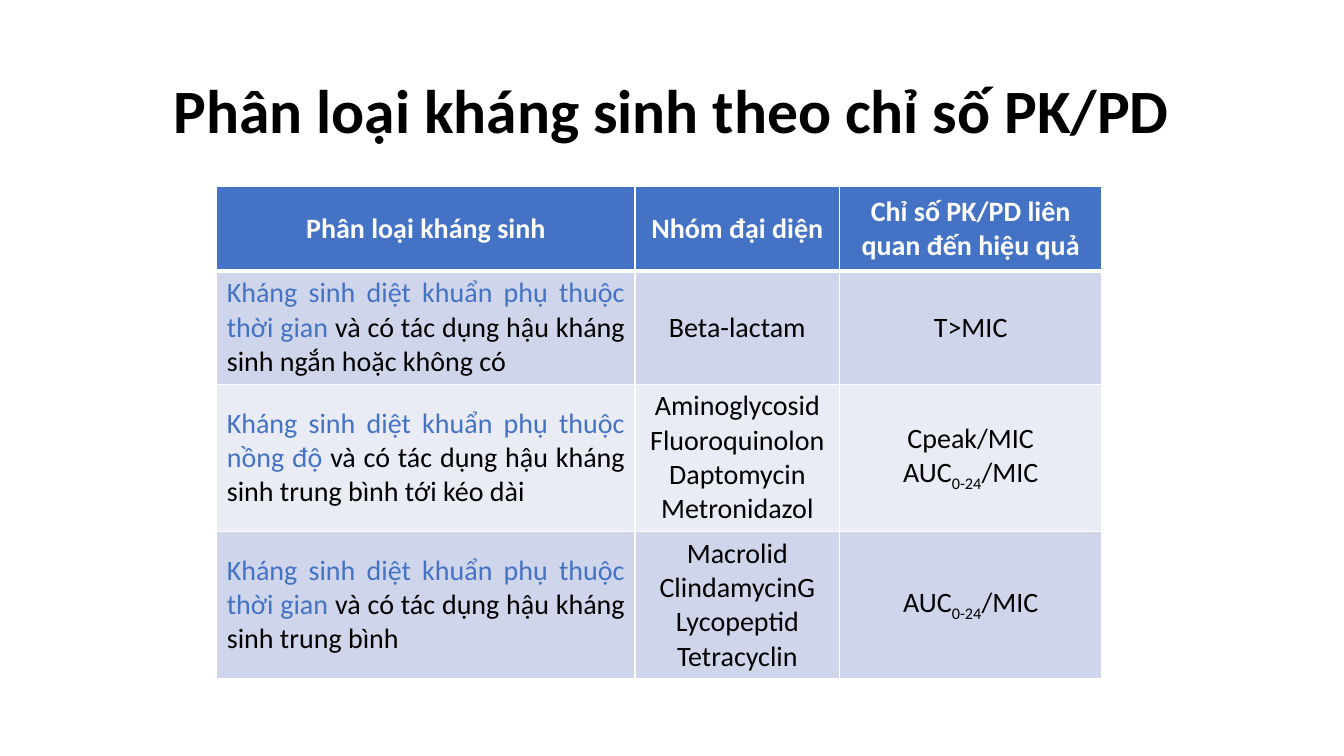
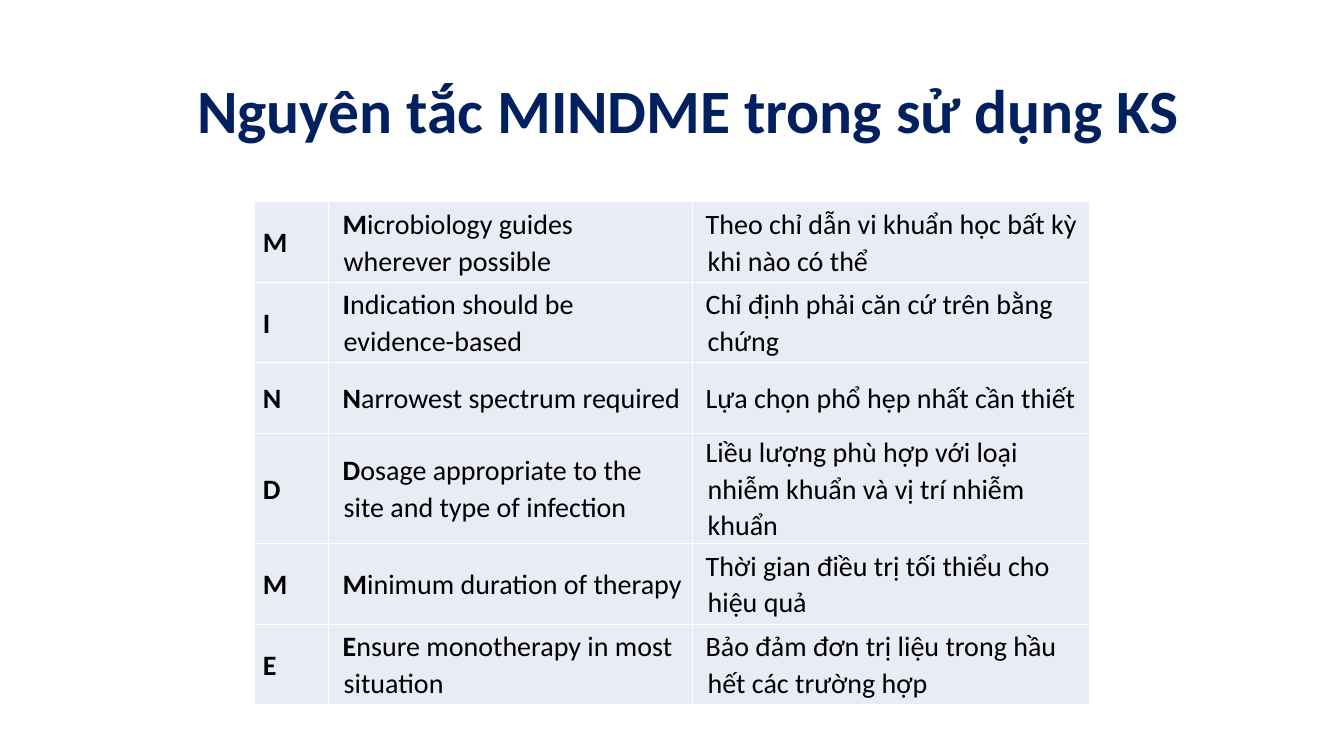
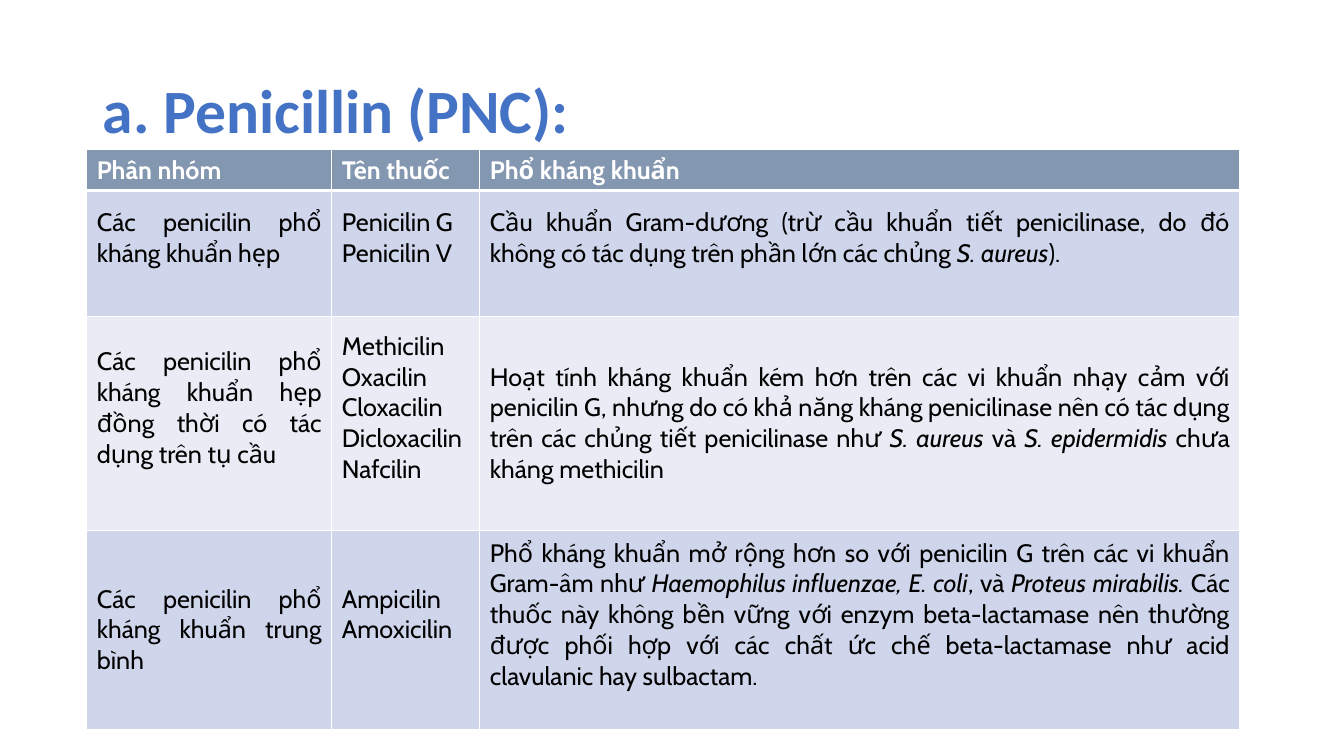
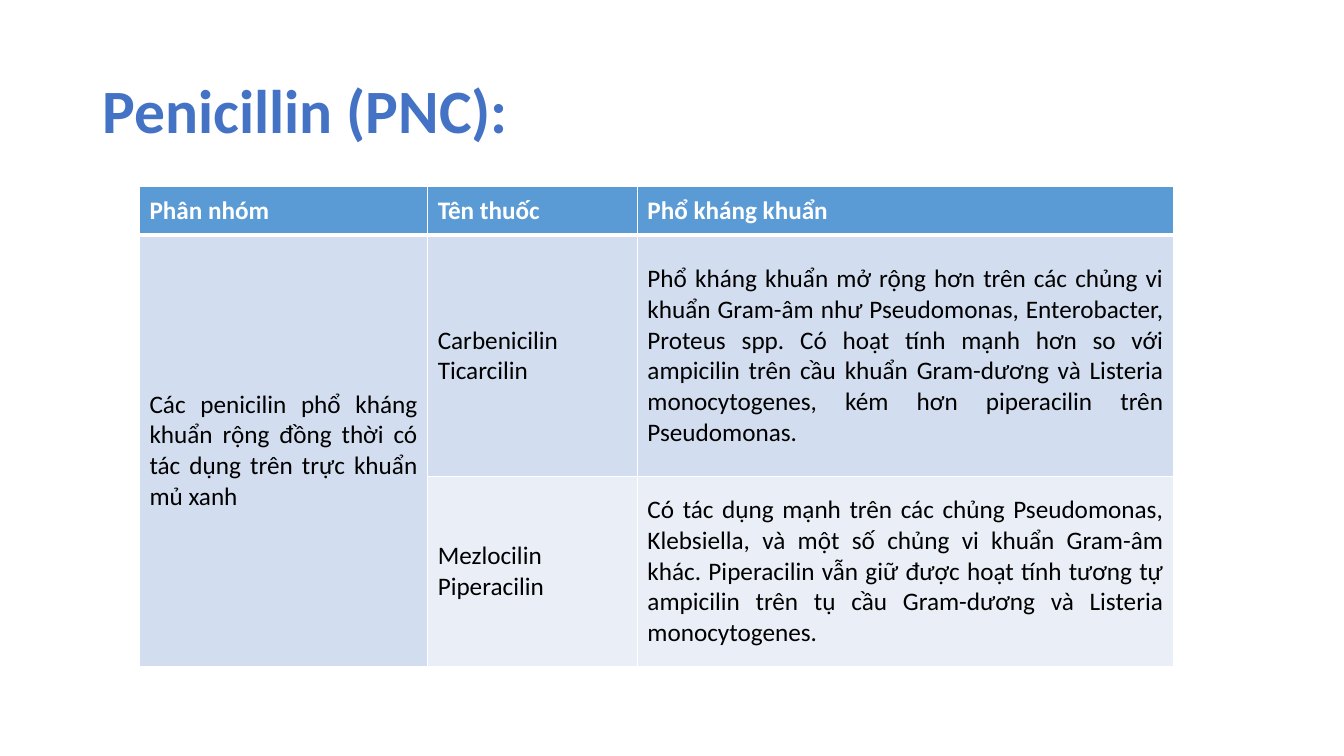
from lxml.etree import SubElement
from pptx import Presentation
from pptx.dml.color import RGBColor
from pptx.enum.text import MSO_ANCHOR, PP_ALIGN as AL
from pptx.oxml.ns import qn
from pptx.util import Pt

BLACK, WHITE, NAVY, BLUE = "000000", "FFFFFF", "002060", "4472C4"
STEEL, SKY = "8497B0", "5B9BD5"
BANDS = ("CFD5EA", "E9EBF5")
SKY_BANDS = ("D2DEEF", "EAEFF7")


def rgb(value):
    return RGBColor.from_string(value)


class Deck:
    def __init__(self):
        self.prs = Presentation()
        self.prs.slide_width, self.prs.slide_height = Pt(960), Pt(540)
        self.s = None

    def slide(self, title, color=BLUE, align=AL.LEFT, width=828):
        self.s = self.prs.slides.add_slide(self.prs.slide_layouts[5])
        sp = self.s.shapes.title
        sp.left, sp.top, sp.width, sp.height = Pt(66.2), Pt(28.8), Pt(width), Pt(104.4)
        tf = sp.text_frame
        tf.word_wrap = True
        tf.vertical_anchor = MSO_ANCHOR.MIDDLE
        p = tf.paragraphs[0]
        p.text = title
        p.alignment = align
        p.line_spacing = 0.9
        self.font(p, 44, "Calibri", color, True)

    def font(self, p, size, name, color, bold):
        f = p.font
        f.size, f.name, f.bold = Pt(size), name, bold
        f.color.rgb = rgb(color)

    def run(self, p, text, style=None):
        r = p.add_run()
        r.text = text
        if style == "bold":
            r.font.bold = True
        elif style == "italic":
            r.font.italic = True
        elif style == "blue":
            r.font.color.rgb = rgb(BLUE)
        elif style == "sub":
            r.font._element.set("baseline", "-25000")

    def borders(self, cell, top=1, bottom=1):
        tc_pr = cell._tc.get_or_add_tcPr()
        for tag, width in (("lnL", 1), ("lnR", 1), ("lnT", top), ("lnB", bottom)):
            ln = SubElement(tc_pr, qn(f"a:{tag}"), w=str(Pt(width)))
            fill = SubElement(ln, qn("a:solidFill"))
            SubElement(fill, qn("a:srgbClr"), val=WHITE)

    def cell_text(self, cell, content, align, size, name, color, bold):
        cell.vertical_anchor = MSO_ANCHOR.MIDDLE
        tf = cell.text_frame
        paras = content if isinstance(content, list) else [content]
        for i, runs in enumerate(paras):
            p = tf.add_paragraph() if i else tf.paragraphs[0]
            p.alignment = align
            self.font(p, size, name, color, bold)
            for part in runs if isinstance(runs, tuple) else (runs,):
                self.run(p, *(part if isinstance(part, list) else [part]))

    def table(self, left, top, cols, heights, rows, aligns, size, name="Calibri",
              header=None, header_align=AL.LEFT, bands=BANDS):
        tbl = self.s.shapes.add_table(len(heights), len(cols), Pt(left), Pt(top),
                                      Pt(sum(cols)), Pt(sum(heights))).table
        tbl.first_row = header is not None
        for col, width in zip(tbl.columns, cols):
            col.width = Pt(width)
        for row, height in zip(tbl.rows, heights):
            row.height = Pt(height)
        for i, row in enumerate(rows):
            head = header is not None and i == 0
            band = bands[(i - 1) % len(bands)]
            for j, content in enumerate(row):
                cell = tbl.cell(i, j)
                self.borders(cell, 3 if header and i == 1 else 1, 3 if head else 1)
                cell.fill.solid()
                cell.fill.fore_color.rgb = rgb(header if head else band)
                if content is not None:
                    self.cell_text(cell, content, header_align if head else aligns[j], size,
                                   name, WHITE if head else BLACK, head)
        return tbl

    def indent(self, tbl, indents):
        for row in tbl.rows:
            for cell, (margin, first) in zip(row.cells, indents):
                cell.margin_left = cell.margin_right = Pt(5)
                cell.margin_top = cell.margin_bottom = 0
                for p in cell.text_frame.paragraphs:
                    p.line_spacing = 1.07
                    p_pr = p._p.get_or_add_pPr()
                    p_pr.set("marL", str(Pt(margin)))
                    p_pr.set("indent", str(Pt(first)))

    def raise_text(self, tbl, places):
        for i, j in places:
            tbl.cell(i, j).margin_bottom = Pt(25.6)


def classification(d):
    d.slide("Phân loại kháng sinh theo chỉ số PK/PD", BLACK, AL.CENTER)
    auc = ("AUC", ["0-24", "sub"], "/MIC")
    time = ["Kháng sinh diệt khuẩn phụ thuộc thời gian ", "blue"]
    dose = ["Kháng sinh diệt khuẩn phụ thuộc nồng độ ", "blue"]
    rows = [
        ["Phân loại kháng sinh", "Nhóm đại diện", "Chỉ số PK/PD liên quan đến hiệu quả"],
        [(time, "và có tác dụng hậu kháng sinh ngắn hoặc không có"), "Beta-lactam", "T>MIC"],
        [(dose, "và có tác dụng hậu kháng sinh trung bình tới kéo dài"),
         ["Aminoglycosid Fluoroquinolon", "Daptomycin Metronidazol"], ["Cpeak/MIC", auc]],
        [(time, "và có tác dụng hậu kháng sinh trung bình"),
         ["Macrolid", "ClindamycinG", "Lycopeptid", "Tetracyclin"], auc],
    ]
    d.table(154.8, 133.2, [298.8, 146.2, 187.2], [60.5, 79.9, 104.4, 104.4], rows,
            [AL.JUSTIFY, AL.CENTER, AL.CENTER], 20, header=BLUE, header_align=AL.CENTER)


def mindme(d):
    d.slide("Nguyên tắc MINDME trong sử dụng KS", NAVY, AL.CENTER, 851.8)
    principles = [
        ("Microbiology guides wherever possible",
         "Theo chỉ dẫn vi khuẩn học bất kỳ khi nào có thể"),
        ("Indication should be evidence-based", "Chỉ định phải căn cứ trên bằng chứng"),
        ("Narrowest spectrum required", "Lựa chọn phổ hẹp nhất cần thiết"),
        ("Dosage appropriate to the site and type of infection",
         "Liều lượng phù hợp với loại nhiễm khuẩn và vị trí nhiễm khuẩn"),
        ("Minimum duration of therapy", "Thời gian điều trị tối thiểu cho hiệu quả"),
        ("Ensure monotherapy in most situation",
         "Bảo đảm đơn trị liệu trong hầu hết các trường hợp"),
    ]
    rows = [[([en[0], "bold"],), ([en[0], "bold"], en[1:]), vi] for en, vi in principles]
    tbl = d.table(181.4, 144, [53.3, 260, 283.7], [57.6, 57.6, 50.4, 76.3, 57.6, 57.6], rows,
                  [AL.LEFT] * 3, 20, bands=BANDS[1:])
    d.indent(tbl, [(0.7, 0.7), (5.8, -0.7), (5.8, -1.4)])


HEADINGS = ["Phân nhóm", "Tên thuốc", "Phổ kháng khuẩn"]


def penicillin(d):
    d.slide("a. Penicillin (PNC):")
    rows = [
        HEADINGS,
        ["Các penicilin phổ kháng khuẩn hẹp", ["Penicilin G", "Penicilin V"],
         ("Cầu khuẩn Gram-dương (trừ cầu khuẩn tiết penicilinase, do đó không có tác dụng "
          "trên phần lớn các chủng ", ["S. aureus", "italic"], ").")],
        ["Các penicilin phổ kháng khuẩn hẹp đồng thời có tác dụng trên tụ cầu",
         ["Methicilin", "Oxacilin", "Cloxacilin", "Dicloxacilin", "Nafcilin"],
         ("Hoạt tính kháng khuẩn kém hơn trên các vi khuẩn nhạy cảm với penicilin G, nhưng "
          "do có khả năng kháng penicilinase nên có tác dụng trên các chủng tiết "
          "penicilinase như ", ["S. aureus ", "italic"], "và ",
          ["S. epidermidis ", "italic"], "chưa kháng methicilin")],
        ["Các penicilin phổ kháng khuẩn trung bình", ["Ampicilin", "Amoxicilin"],
         ("Phổ kháng khuẩn mở rộng hơn so với penicilin G trên các vi khuẩn Gram-âm như ",
          ["Haemophilus influenzae, E. coli", "italic"], ", và ",
          ["Proteus mirabilis. ", "italic"],
          "Các thuốc này không bền vững với enzym beta-lactamase nên thường được phối hợp "
          "với các chất ức chế beta-lactamase như acid clavulanic hay sulbactam.")],
    ]
    tbl = d.table(62, 106.9, [175, 105.8, 542.9], [27.4, 90, 152.6, 142.6], rows,
                  [AL.JUSTIFY] * 3, 18, "Cabin", STEEL, AL.JUSTIFY)
    d.raise_text(tbl, [(1, 0), (1, 1), (1, 2), (2, 0), (2, 1), (3, 1), (3, 2)])


def broad_penicillin(d):
    d.slide("Penicillin (PNC):")
    rows = [
        HEADINGS,
        ["Các penicilin phổ kháng khuẩn rộng đồng thời có tác dụng trên trực khuẩn mủ xanh",
         ["Carbenicilin", "Ticarcilin"],
         "Phổ kháng khuẩn mở rộng hơn trên các chủng vi khuẩn Gram-âm như Pseudomonas, "
         "Enterobacter, Proteus spp. Có hoạt tính mạnh hơn so với ampicilin trên cầu khuẩn "
         "Gram-dương và Listeria monocytogenes, kém hơn piperacilin trên Pseudomonas."],
        [None, ["Mezlocilin", "Piperacilin"],
         "Có tác dụng mạnh trên các chủng Pseudomonas, Klebsiella, và một số chủng vi khuẩn "
         "Gram-âm khác. Piperacilin vẫn giữ được hoạt tính tương tự ampicilin trên tụ cầu "
         "Gram-dương và Listeria monocytogenes."],
    ]
    tbl = d.table(99.6, 133.2, [205.9, 149.8, 383], [34.6, 172.8, 135.4], rows,
                  [AL.JUSTIFY] * 3, 18, header=SKY, bands=SKY_BANDS)
    tbl.cell(1, 0).merge(tbl.cell(2, 0))


def main():
    d = Deck()
    for build in (classification, mindme, penicillin, broad_penicillin):
        build(d)
    d.prs.save("out.pptx")


if __name__ == "__main__":
    main()
